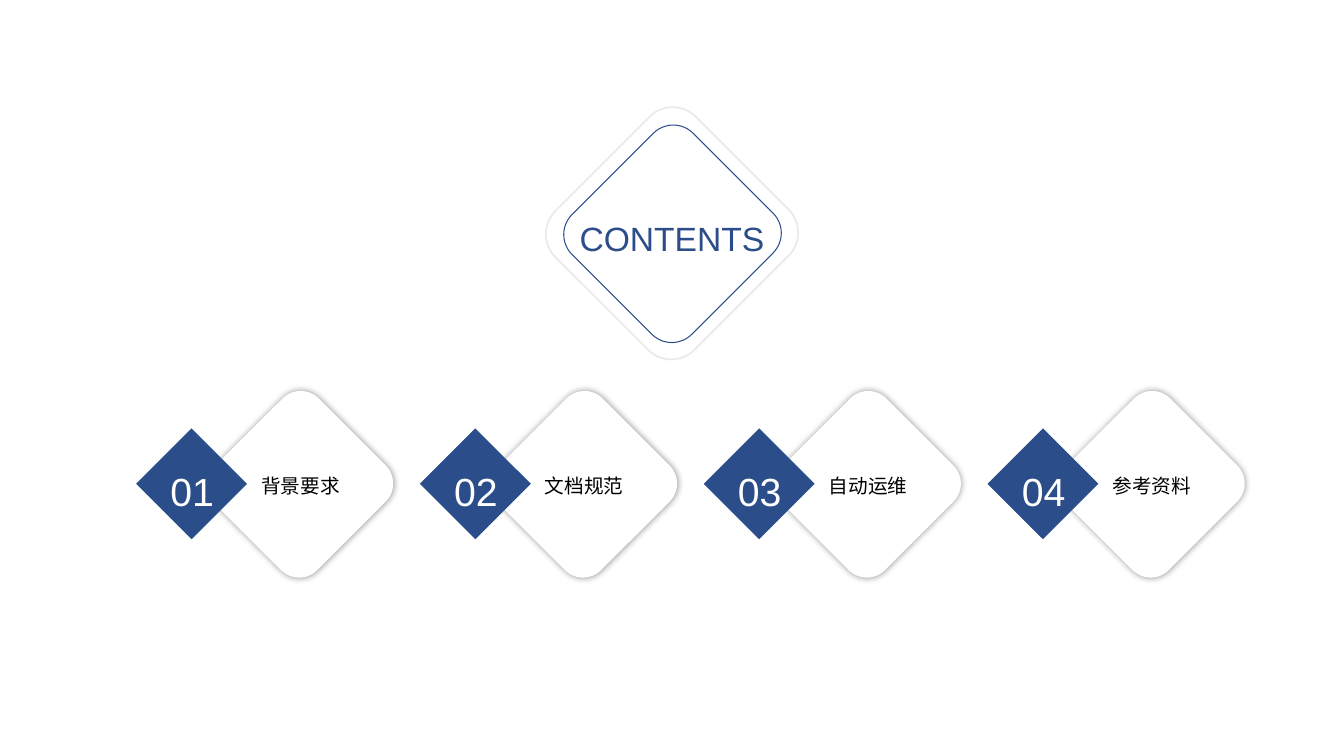
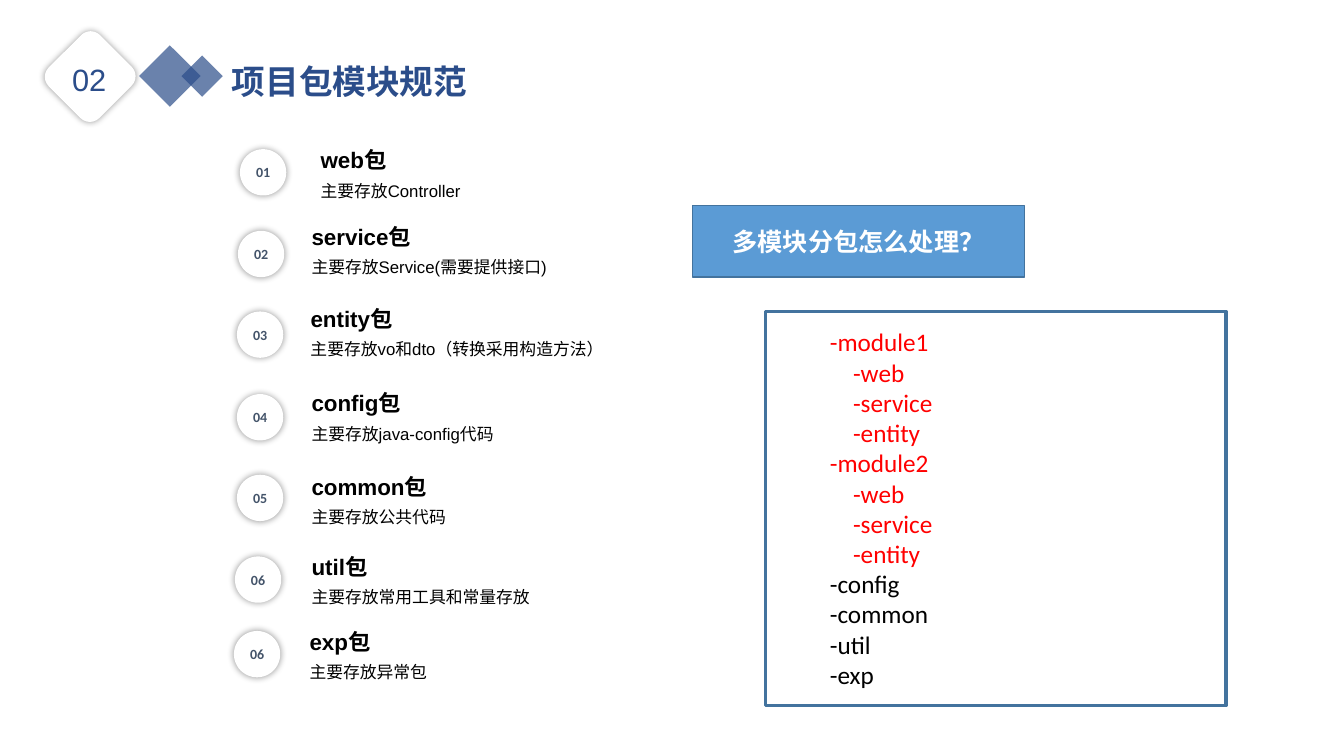
from lxml.etree import SubElement
from pptx import Presentation
from pptx.dml.color import RGBColor
from pptx.enum.shapes import MSO_SHAPE
from pptx.enum.text import MSO_ANCHOR, MSO_AUTO_SIZE, PP_ALIGN
from pptx.oxml.ns import qn
from pptx.util import Inches, Pt

INK = {"navy": "2B4D8A", "white": "FFFFFF", "black": "000000", "pale": "EAEAE8",
       "slate": "44546A", "sky": "5B9BD5", "edge": "43739E", "red": "FF0000"}
LEFT, MID = PP_ALIGN.LEFT, PP_ALIGN.CENTER

TOPICS = ["背景要求", "文档规范", "自动运维", "参考资料"]

# number, package, purpose, dot corner, text corner
PACKS = [
    ("01", "web包", "主要存放Controller", (2.38, 1.48), (3.18, 1.4)),
    ("02", "service包", "主要存放Service(需要提供接口)", (2.36, 2.29), (3.09, 2.16)),
    ("03", "entity包", "主要存放vo和dto（转换采用构造方法）", (2.35, 3.09), (3.08, 2.97)),
    ("04", "config包", "主要存放java-config代码", (2.35, 3.91), (3.09, 3.81)),
    ("05", "common包", "主要存放公共代码", (2.35, 4.71), (3.09, 4.64)),
    ("06", "util包", "主要存放常用工具和常量存放", (2.33, 5.52), (3.09, 5.43)),
    ("06", "exp包", "主要存放异常包", (2.32, 6.26), (3.07, 6.18)),
]

# level, name, colour
MODULE = [(1, "-web", "red"), (1, "-service", "red"), (1, "-entity", "red")]
TREE = [(0, "-module1", "red"), *MODULE, (0, "-module2", "red"), *MODULE,
        *[(0, name, "black") for name in ("-config", "-common", "-util", "-exp")]]


def rgb(name):
    return RGBColor.from_string(INK[name])


def style(par, size, ink, bold=False, align=LEFT, face="Arial"):
    par.alignment = align
    font = par.font
    font.name, font.size, font.bold = face, Pt(size), bold
    font.color.rgb = rgb(ink)


def loose(par):
    """Set 1.2 lines with a fifth of a line before."""
    par.line_spacing = 1.2
    props = par._p.get_or_add_pPr()
    gap = SubElement(props, qn("a:spcBef"))
    SubElement(gap, qn("a:spcPct")).set("val", "20000")


def inset(frame, left=0, top=0, right=0, bottom=0):
    frame.margin_left, frame.margin_top = Inches(left), Inches(top)
    frame.margin_right, frame.margin_bottom = Inches(right), Inches(bottom)


def place(shape, box):
    shape.left, shape.top, shape.width, shape.height = map(Inches, box)


def draw(slide, kind, box, fill=None, line=None, width=1, turn=0, alpha=None, glow=False):
    shape = slide.shapes.add_shape(kind, *map(Inches, box))
    shape.rotation = turn
    shape.shadow.inherit = False
    if fill:
        shape.fill.solid()
        shape.fill.fore_color.rgb = rgb(fill)
    else:
        shape.fill.background()
    if line:
        shape.line.color.rgb = rgb(line)
        shape.line.width = Pt(width)
    else:
        shape.line.fill.background()
    props = shape._element.spPr
    if alpha:
        tint = props.find(qn("a:solidFill")).find(qn("a:srgbClr"))
        SubElement(tint, qn("a:alpha")).set("val", str(alpha * 1000))
    if glow:
        soft = SubElement(props.find(qn("a:effectLst")), qn("a:outerShdw"))
        soft.set("blurRad", str(Pt(5)))
        soft.set("dist", "0")
        tint = SubElement(soft, qn("a:srgbClr"))
        tint.set("val", INK["black"])
        SubElement(tint, qn("a:alpha")).set("val", "40000")
    return shape


def tile(slide, box):
    """White rounded diamond with a soft shadow."""
    draw(slide, MSO_SHAPE.ROUNDED_RECTANGLE, box, "white", "white", 2.75, 45, glow=True)


def label(slide, box, text, size, ink, bold=False, align=LEFT):
    frame = slide.shapes.add_textbox(*map(Inches, box)).text_frame
    frame.word_wrap = True
    frame.auto_size = MSO_AUTO_SIZE.SHAPE_TO_FIT_TEXT
    inset(frame)
    par = frame.paragraphs[0]
    par.text = text
    loose(par)
    style(par, size, ink, bold, align)


def inner(shape, text, size, ink):
    """Centred bold text inside a shape."""
    frame = shape.text_frame
    inset(frame)
    frame.vertical_anchor = MSO_ANCHOR.MIDDLE
    par = frame.paragraphs[0]
    par.text = text
    style(par, size, ink, True, MID, "Calibri")


def title(slide, box, text, bold=False, align=LEFT):
    shape = slide.shapes.title
    slide.shapes._spTree.append(shape._element)  # bring to front
    place(shape, box)
    frame = shape.text_frame
    frame.auto_size = MSO_AUTO_SIZE.NONE
    frame.vertical_anchor = MSO_ANCHOR.TOP
    inset(frame, 0.1, 0.05, 0.1, 0.05)
    par = frame.paragraphs[0]
    par.text = text
    loose(par)
    style(par, 24, "navy", bold, align)


def topic(slide, x, y, num, text):
    tile(slide, (x + 0.92, y - 0.16, 1.41, 1.43))
    draw(slide, MSO_SHAPE.DIAMOND, (x, y, 1.1, 1.1), "navy")
    label(slide, (x - 0.15, y + 0.29, 1.41, 0.51), num, 28, "white", align=MID)
    label(slide, (x + 1.11, y + 0.41, 1.04, 0.28), text, 14, "black", align=MID)


def header(slide, x, y, num, text):
    tile(slide, (x, y, 0.67, 0.68))
    label(slide, (x, y + 0.11, 0.65, 0.44), num, 22, "navy", align=MID)
    for dx, dy, side in ((0.82, 0.03, 0.61), (1.24, 0.13, 0.41)):
        draw(slide, MSO_SHAPE.DIAMOND, (x + dx, y + dy, side, side), "navy", alpha=70)
    title(slide, (x + 1.64, y + 0.05, 2.91, 0.57), text, True)


def pack(slide, num, name, note, dot, spot):
    disc = draw(slide, MSO_SHAPE.OVAL, (*dot, 0.46, 0.46), "white", glow=True)
    inner(disc, num, 10, "slate")
    x, y = spot
    label(slide, (x, y, 1.42, 0.32), name, 16, "black", True)
    label(slide, (x, y + 0.35, 2.97, 0.24), note, 12, "black")


def tree(slide, box):
    body = slide.placeholders[1]
    place(body, box)
    body.line.color.rgb = rgb("edge")
    body.line.width = Pt(2.25)
    frame = body.text_frame
    frame.auto_size = MSO_AUTO_SIZE.NONE
    frame.vertical_anchor = MSO_ANCHOR.TOP
    inset(frame, 0.64, 0.15)
    for i, (level, name, ink) in enumerate(TREE):
        par = frame.add_paragraph() if i else frame.paragraphs[0]
        par.text, par.level = name, level
        par.line_spacing, par.space_before = 1.0, Pt(0)
        props = par._p.get_or_add_pPr()
        props.set("marL", str(Inches(0.23 * level)))
        props.set("indent", "0")
        SubElement(props, qn("a:buNone"))
        style(par, 18, ink, face="Calibri")


def contents(deck):
    slide = deck.slides.add_slide(deck.slide_layouts[5])
    # Title diamond
    draw(slide, MSO_SHAPE.ROUNDED_RECTANGLE, (5.69, 1.33, 1.95, 1.97), "white", "pale", 1.25, 45)
    draw(slide, MSO_SHAPE.ROUNDED_RECTANGLE, (5.83, 1.47, 1.68, 1.7), None, "navy", 0.75, 45)
    title(slide, (5.21, 2.03, 2.91, 0.57), "CONTENTS", align=MID)
    # Row of topics
    for i, text in enumerate(TOPICS):
        topic(slide, 1.35 + 2.815 * i, 4.25, f"{i + 1:02}", text)


def modules(deck):
    slide = deck.slides.add_slide(deck.slide_layouts[1])
    header(slide, 0.56, 0.42, "02", "项目包模块规范")
    # Package list
    for row in PACKS:
        pack(slide, *row)
    # Question and module tree
    ask = draw(slide, MSO_SHAPE.RECTANGLE, (6.87, 2.04, 3.29, 0.71), "sky", "edge")
    inner(ask, "多模块分包怎么处理？", 18, "white")
    tree(slide, (7.59, 3.09, 4.57, 3.91))


def main():
    deck = Presentation()
    deck.slide_width, deck.slide_height = Inches(13.33), Inches(7.5)
    contents(deck)
    modules(deck)
    deck.save("out.pptx")


if __name__ == "__main__":
    main()
